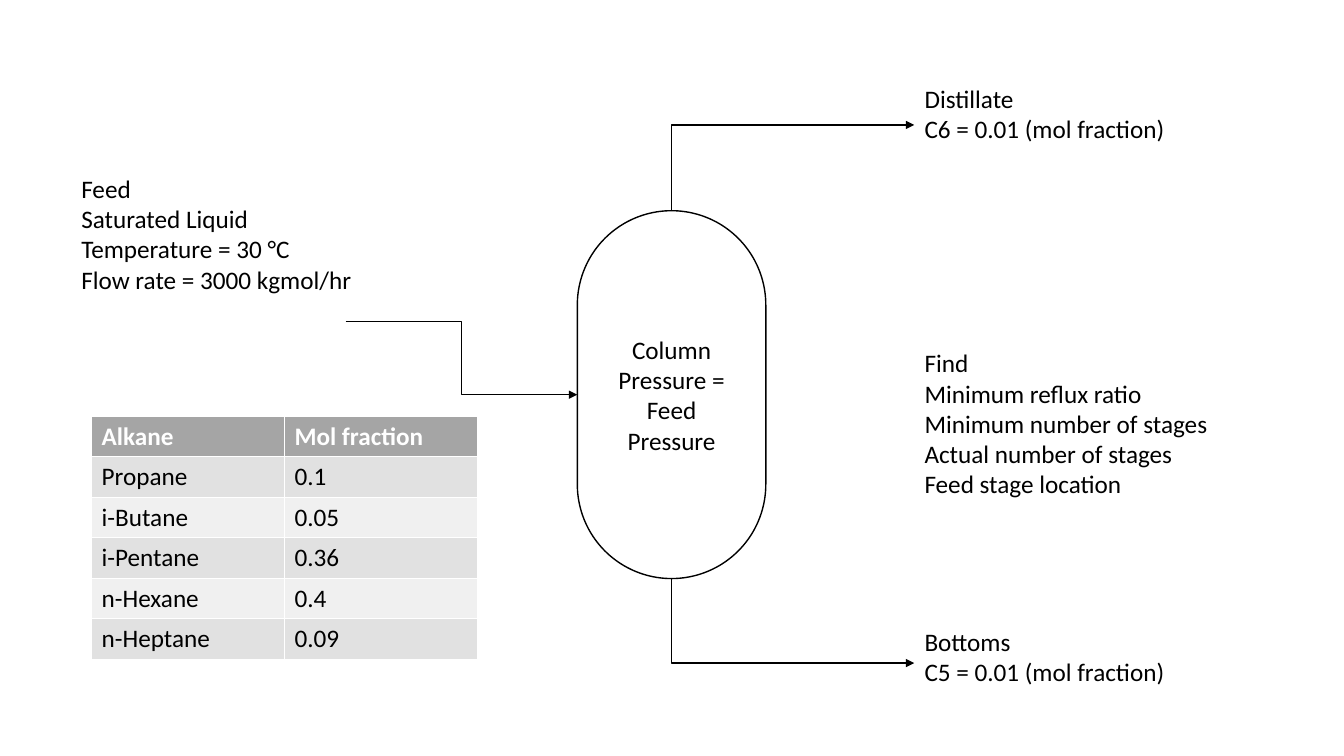
import pptx
import pptx.util
import pptx.dml.color
import pptx.enum.shapes
import pptx.enum.text
import pptx.oxml
import pptx.oxml.ns

Cm = pptx.util.Cm
Pt = pptx.util.Pt
kinds = pptx.enum.shapes


def color(text):
    return pptx.dml.color.RGBColor.from_string(text)


def write(frame, lines, align=None, ink="000000", bold=False):
    frame.word_wrap = True
    frame.text = "\n".join(lines)
    style = {"name": "Calibri", "size": Pt(18), "bold": bold}
    for para in frame.paragraphs:
        para.alignment = align
        for run in para.runs:
            for key, value in style.items():
                setattr(run.font, key, value)
            run.font.color.rgb = color(ink)


deck = pptx.Presentation()
deck.slide_width, deck.slide_height = Cm(33.87), Cm(19.05)
slide = deck.slides.add_slide(deck.slide_layouts[6])
shapes = slide.shapes

# Column
column = shapes.add_shape(kinds.MSO_SHAPE.ROUNDED_RECTANGLE,
                          Cm(14.55), Cm(5.31), Cm(4.75), Cm(9.27))
column.adjustments[0] = 0.5
column.shadow.inherit = False
column.fill.solid()
column.fill.fore_color.rgb = color("FFFFFF")
column.line.color.rgb = color("000000")
column.line.width = Pt(1)
column.text_frame.vertical_anchor = pptx.enum.text.MSO_ANCHOR.MIDDLE
write(column.text_frame, ["Column Pressure = Feed Pressure"],
      pptx.enum.text.PP_ALIGN.CENTER)

# Streams: outer end, site on the column, bend, end with the arrowhead
streams = [
    (8.71, 8.1, 1, "bentConnector3", "tailEnd"),
    (23.04, 3.15, 0, "bentConnector2", "headEnd"),
    (23.04, 16.71, 2, "bentConnector2", "headEnd"),
]
for x, y, site, bend, tip in streams:
    pipe = shapes.add_connector(kinds.MSO_CONNECTOR.ELBOW,
                                Cm(x), Cm(y), Cm(x), Cm(y))
    pipe.end_connect(column, site)
    pipe.line.color.rgb = color("000000")
    pipe.line.width = Pt(1)
    props = pipe._element.spPr
    props.find(pptx.oxml.ns.qn("a:prstGeom")).set("prst", bend)
    space = pptx.oxml.ns.nsdecls("a")
    edge = props.find(pptx.oxml.ns.qn("a:ln"))
    edge.append(pptx.oxml.parse_xml(f'<a:{tip} {space} type="triangle"/>'))
    props.append(pptx.oxml.parse_xml(f"<a:effectLst {space}/>"))

# Labels: left, top, height, lines
labels = [
    (1.8, 4.24, 3.33, ["Feed", "Saturated Liquid", "Temperature = 30 °C",
                       "Flow rate = 3000 kgmol/hr"]),
    (23.05, 1.98, 1.8, ["Distillate", "C6 = 0.01 (mol fraction)"]),
    (23.05, 15.65, 1.8, ["Bottoms", "C5 = 0.01 (mol fraction)"]),
    (23.05, 8.64, 4.11, ["Find", "Minimum reflux ratio",
                         "Minimum number of stages",
                         "Actual number of stages", "Feed stage location"]),
]
for left, top, height, lines in labels:
    box = shapes.add_textbox(Cm(left), Cm(top), Cm(7.7), Cm(height))
    write(box.text_frame, lines)

# Feed table
rows = [
    ("Alkane", "Mol fraction"),
    ("Propane", "0.1"),
    ("i-Butane", "0.05"),
    ("i-Pentane", "0.36"),
    ("n-Hexane", "0.4"),
    ("n-Heptane", "0.09"),
]
table = shapes.add_table(len(rows), 2, Cm(2.31), Cm(10.49),
                         Cm(9.72), Cm(1.02 * len(rows))).table
for r, row in enumerate(rows):
    head = r == 0
    fill = "A5A5A5" if head else ("F0F0F0", "E1E1E1")[r % 2]
    for c, text in enumerate(row):
        cell = table.cell(r, c)
        cell.fill.solid()
        cell.fill.fore_color.rgb = color(fill)
        write(cell.text_frame, [text], ink="FFFFFF" if head else "000000",
              bold=head)

deck.save("out.pptx")
